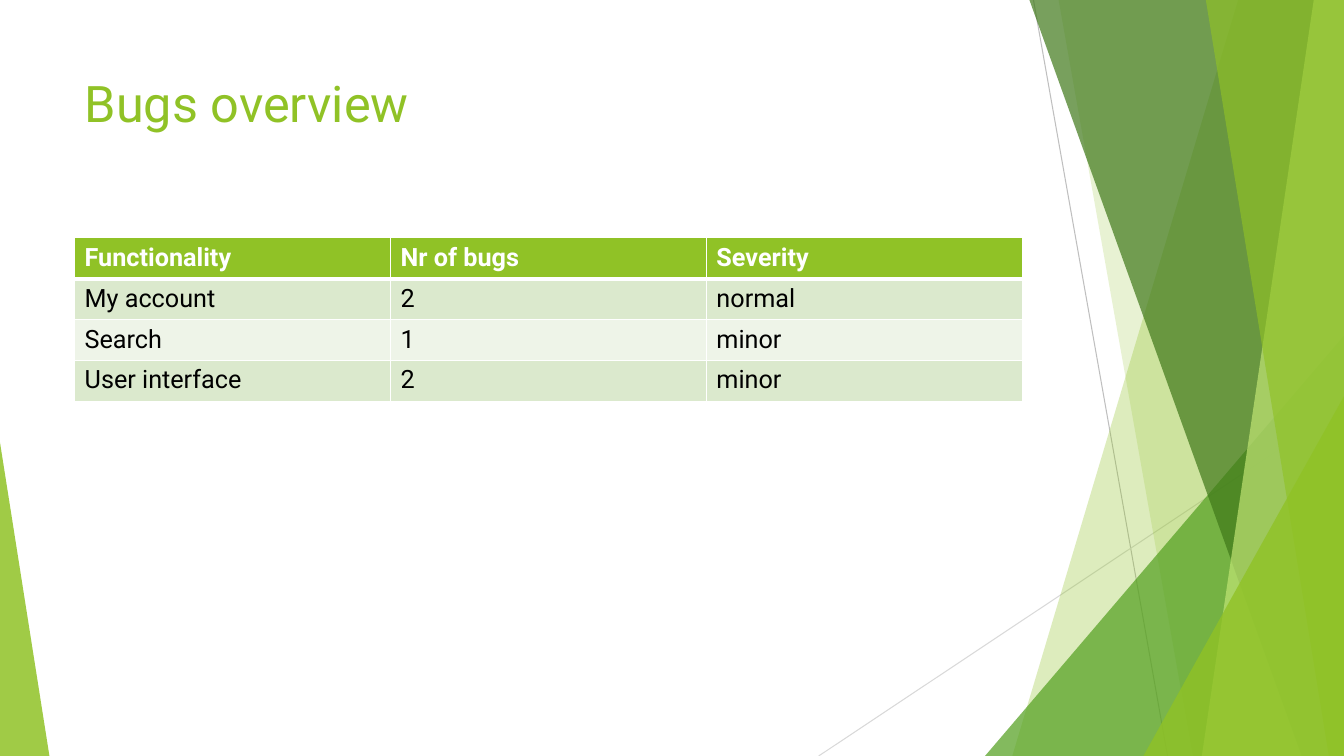
import lxml.etree
import pptx
import pptx.dml.color
import pptx.enum.shapes
import pptx.enum.text
import pptx.oxml.ns
import pptx.util

# Grid: ten columns and ten rows to the inch
COLUMNS, ROWS = 133.3, 75
CELL = pptx.util.Inches(0.1)

COLORS = {
    "lime": "90C226",
    "leaf": "54A021",
    "forest": "3F7819",
    "pale_lime": "C0E474",
    "band_dark": "DBE9CD",
    "band_light": "EEF4E8",
    "dark_rule": "BFBFBF",
    "light_rule": "D9D9D9",
    "white": "FFFFFF",
    "black": "000000",
}


def rgb(color):
    return pptx.dml.color.RGBColor.from_string(COLORS[color])


def grid(*lengths):
    return [round(length * CELL) for length in lengths]


def add_xml(parent, tag, **attributes):
    return lxml.etree.SubElement(parent, pptx.oxml.ns.qn(tag), attributes)


class FacetSlide:
    """Holds the text style and the current slide."""

    font_name = "Roboto"

    def __init__(self, deck):
        self.slide = deck.slides.add_slide(deck.slide_layouts[5])
        self.shapes = self.slide.shapes

    def format_text(self, frame, text, size, color, bold=False):
        frame.text = text
        paragraph = frame.paragraphs[0]
        paragraph.alignment = pptx.enum.text.PP_ALIGN.LEFT
        font = paragraph.runs[0].font
        values = {"name": self.font_name, "size": pptx.util.Pt(size), "bold": bold}
        for name, value in values.items():
            setattr(font, name, value)
        font.color.rgb = rgb(color)

    def paint(self, shape, color, opacity):
        shape.shadow.inherit = False
        shape.line.fill.background()
        shape.fill.solid()
        shape.fill.fore_color.rgb = rgb(color)
        tint = shape.element.spPr.find(".//" + pptx.oxml.ns.qn("a:srgbClr"))
        add_xml(tint, "a:alpha", val=str(opacity * 1000))

    def rule(self, start, end, color):
        line = self.shapes.add_connector(
            pptx.enum.shapes.MSO_CONNECTOR.STRAIGHT, *grid(*start, *end))
        line.line.color.rgb = rgb(color)
        line.line.width = pptx.util.Pt(0.75)
        add_xml(line.element.spPr, "a:effectLst")

    def facet(self, top_left, bottom_left, color, opacity):
        """Full-height panel that reaches the right edge of the slide."""
        corners = [(COLUMNS, 0), (COLUMNS, ROWS), (bottom_left, ROWS)]
        builder = self.shapes.build_freeform(*grid(top_left, 0), scale=1.0)
        builder.add_line_segments([grid(*corner) for corner in corners], close=True)
        self.paint(builder.convert_to_shape(), color, opacity)

    def wedge(self, left, top, width, apex, color, opacity):
        """Triangle that stands on the bottom edge of the slide."""
        triangle = self.shapes.add_shape(
            pptx.enum.shapes.MSO_SHAPE.ISOSCELES_TRIANGLE,
            *grid(left, top, width, ROWS - top))
        triangle.adjustments[0] = apex
        self.paint(triangle, color, opacity)

    def title(self, text, left, top, width, height):
        heading = self.shapes.title
        bounds = zip(("left", "top", "width", "height"), grid(left, top, width, height))
        for name, value in bounds:
            setattr(heading, name, value)
        frame_values = {
            "vertical_anchor": pptx.enum.text.MSO_ANCHOR.TOP,
            "auto_size": pptx.enum.text.MSO_AUTO_SIZE.NONE,
            "word_wrap": True,
        }
        for name, value in frame_values.items():
            setattr(heading.text_frame, name, value)
        self.format_text(heading.text_frame, text, 36, "lime")
        # Bring the title in front of the facets
        heading.element.getparent().append(heading.element)

    def border(self, cell, widths):
        properties = cell._tc.get_or_add_tcPr()
        for side, width in widths.items():
            edge = add_xml(properties, f"a:ln{side}", w=str(pptx.util.Pt(width)))
            fill = add_xml(edge, "a:solidFill")
            add_xml(fill, "a:srgbClr", val=COLORS["white"])

    def table(self, records, left, top, width, row_height):
        table = self.shapes.add_table(
            len(records), len(records[0]),
            *grid(left, top, width, row_height * len(records))).table
        for row, record in enumerate(records):
            table.rows[row].height = grid(row_height)[0]
            header = row == 0
            band = "lime" if header else ("band_light", "band_dark")[row % 2]
            widths = {"L": 1, "R": 1, "T": 3 if row == 1 else 1, "B": 3 if header else 1}
            for column, text in enumerate(record):
                cell = table.cell(row, column)
                self.border(cell, widths)
                cell.fill.solid()
                cell.fill.fore_color.rgb = rgb(band)
                self.format_text(cell.text_frame, text, 18,
                                 "white" if header else "black", header)


def main():
    deck = pptx.Presentation()
    deck.slide_width, deck.slide_height = grid(COLUMNS, ROWS)
    overview = FacetSlide(deck)

    # Facets, from back to front
    overview.rule((102.5, 0), (115.8, ROWS), "dark_rule")
    overview.rule((COLUMNS, 40.3), (81.2, ROWS), "light_rule")
    overview.facet(122.8, 100.4, "lime", 30)
    overview.facet(105, 118.3, "lime", 20)
    overview.wedge(97.7, 33.3, 35.6, 1, "leaf", 72)
    overview.facet(102.1, 129.1, "forest", 70)
    overview.facet(130.3, 119.2, "pale_lime", 70)
    overview.facet(119.6, 131.8, "lime", 65)
    overview.wedge(113.4, 39.3, 19.9, 1, "lime", 80)
    overview.wedge(0, 43.9, 4.9, 0, "lime", 85)

    # Title and bug table share the left edge and the width
    left, width = 7.4, 94
    overview.title("Bugs overview", left, 6.7, width, 14.4)
    bugs = [
        ("Functionality", "Nr of bugs", "Severity"),
        ("My account", "2", "normal"),
        ("Search", "1", "minor"),
        ("User interface", "2", "minor"),
    ]
    overview.table(bugs, left, 23.6, width, 4.06)

    deck.save("out.pptx")


if __name__ == "__main__":
    main()
